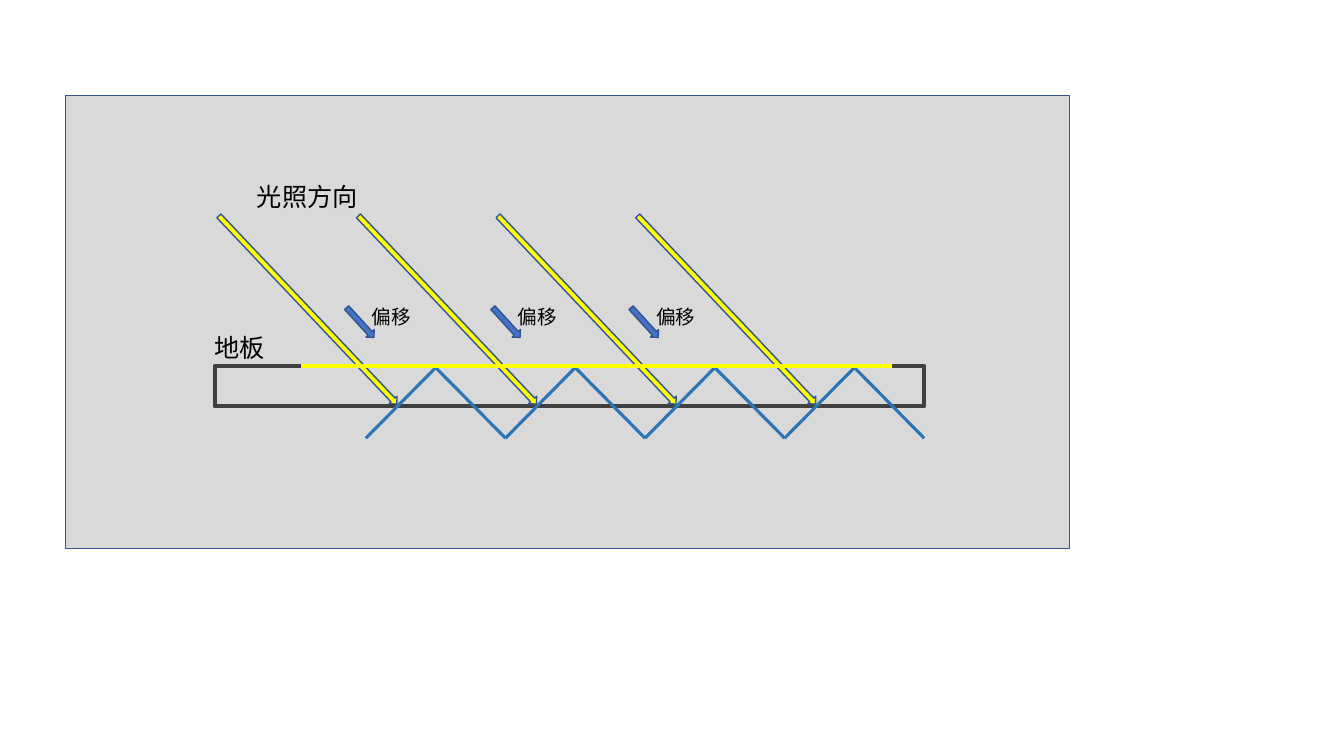
from lxml.etree import SubElement
from pptx import Presentation
from pptx.dml.color import RGBColor
from pptx.enum.shapes import MSO_CONNECTOR as Connector, MSO_SHAPE as Shape
from pptx.enum.text import MSO_AUTO_SIZE as AutoSize
from pptx.oxml.ns import qn
from pptx.util import Pt

# Content
FONT = "Noto Sans CJK SC"
COLORS = {"panel": "D9D9D9", "outline": "325491", "floor": "404040", "light": "FFFF00",
          "wave": "2E75B6", "offset": "4472C4", "text": "000000"}
HEADINGS = [("光照方向", 176.4, 126, 87.1), ("地板", 146.2, 234, 51.1)]
OFFSET_LABEL = "偏移"

# Geometry in points
PANEL = (46.8, 68.4, 717.1, 323.3)
FLOOR = (153.4, 261.4, 506.9, 28.8)
SURFACE = (215.3, 637.2)
PITCH = 99.7
RAY_COUNT, RAY_LEFT, RAY_TOP, RAY_LENGTH, RAY_ANGLE = 4, 216, 128.9, 185, 316.6
PEAK_LEFT, PEAK_TOP, WAVE_HEIGHT = 311.2, 262.6, 50.4
OFFSET_LEFTS, OFFSET_TOP, OFFSET_LENGTH, OFFSET_ANGLE = (253.4, 357.8, 456.5), 216, 28.8, 317.6
ARROW_WIDTH = 7.9

deck = Presentation()
deck.slide_width, deck.slide_height = Pt(960), Pt(540)
page = deck.slides.add_slide(deck.slide_layouts[6])


def color(name):
    return RGBColor.from_string(COLORS[name])


def add_box(kind, place, fill, line, weight=1, angle=0):
    box = page.shapes.add_shape(kind, *map(Pt, place))
    box.shadow.inherit = False
    box.rotation = angle
    if fill:
        box.fill.solid()
        box.fill.fore_color.rgb = color(fill)
    else:
        box.fill.background()
    box.line.color.rgb = color(line)
    box.line.width = Pt(weight)


def add_arrow(left, top, length, angle, fill):
    add_box(Shape.DOWN_ARROW, (left, top, ARROW_WIDTH, length), fill, "outline", angle=angle)


def add_line(start, end, line, weight):
    connector = page.shapes.add_connector(Connector.STRAIGHT, *map(Pt, (*start, *end)))
    connector.line.color.rgb = color(line)
    connector.line.width = Pt(weight)
    SubElement(connector._element.spPr, qn("a:effectLst"))


def add_label(text, left, top, width, height, size):
    box = page.shapes.add_textbox(*map(Pt, (left, top, width, height)))
    box.text_frame.word_wrap = False
    box.text_frame.auto_size = AutoSize.SHAPE_TO_FIT_TEXT
    span = box.text_frame.paragraphs[0].add_run()
    span.text = text
    span.font.size = Pt(size)
    span.font.name = FONT
    span.font.color.rgb = color("text")
    SubElement(span.font._element, qn("a:ea"), typeface=FONT)


# Panel, light rays and floor; the first ray passes behind the floor
add_box(Shape.RECTANGLE, PANEL, "panel", "outline")
for index in range(RAY_COUNT):
    add_arrow(RAY_LEFT + index * PITCH, RAY_TOP, RAY_LENGTH, RAY_ANGLE, "light")
    if index == 0:
        add_box(Shape.RECTANGLE, FLOOR, None, "floor", 3)

# Zigzag: two slopes down from each peak
for index in range(RAY_COUNT):
    peak = PEAK_LEFT + index * PITCH
    for side in (-1, 1):
        foot = (peak + side * PITCH / 2, PEAK_TOP + WAVE_HEIGHT)
        add_line((peak, PEAK_TOP), foot, "wave", 2.25)

# Lit part of the floor
add_line((SURFACE[0], FLOOR[1]), (SURFACE[1], FLOOR[1]), "light", 3)

# Labels and offset arrows
for text, left, top, width in HEADINGS:
    add_label(text, left, top, width, 28.8, 18)
for left in OFFSET_LEFTS:
    add_arrow(left, OFFSET_TOP, OFFSET_LENGTH, OFFSET_ANGLE, "offset")
    add_label(OFFSET_LABEL, left + 5, OFFSET_TOP - 1.4, 42.5, 24.5, 14)

deck.save("out.pptx")
